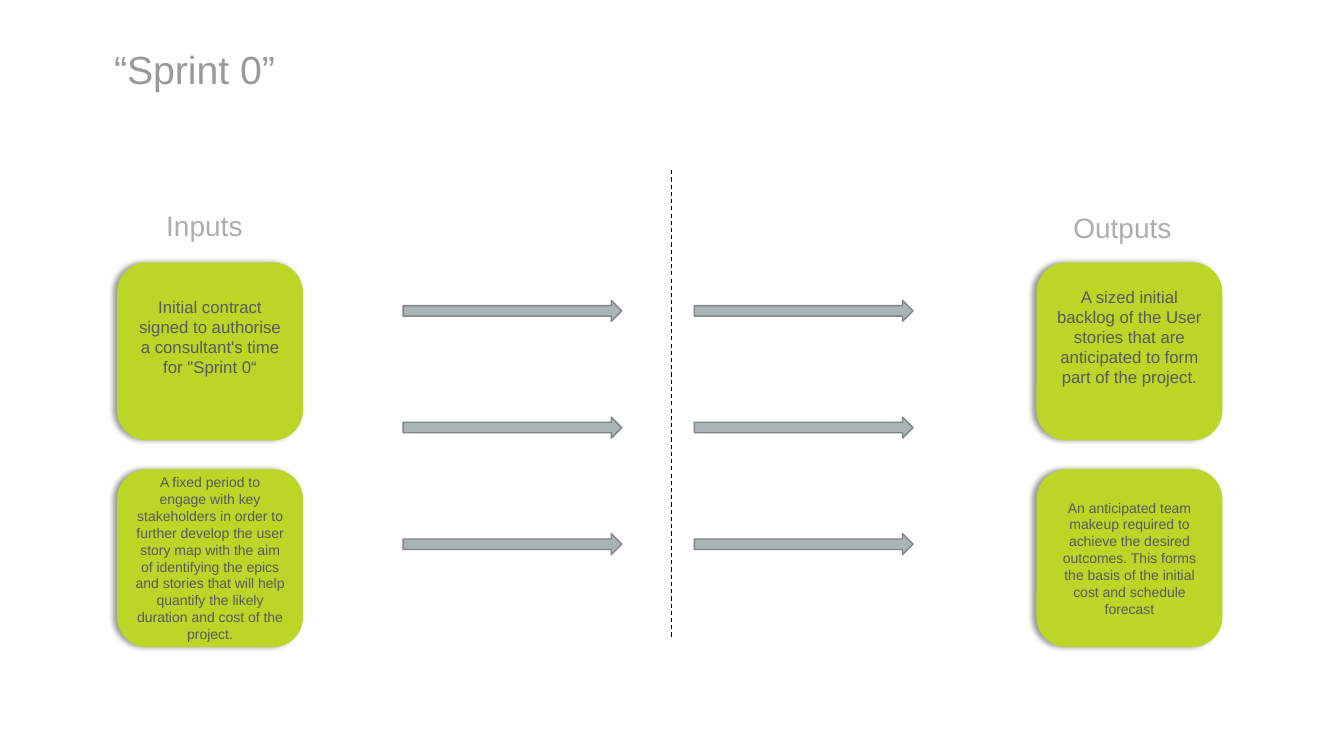
"""Build the "Sprint 0" slide of inputs and outputs."""
import dataclasses
import itertools

import lxml.etree
import pptx
import pptx.dml.color
import pptx.enum.dml
import pptx.enum.shapes
import pptx.enum.text
import pptx.oxml
import pptx.oxml.ns
import pptx.shapes.autoshape
import pptx.slide
import pptx.text.text
import pptx.util

Cm = pptx.util.Cm
Pt = pptx.util.Pt


@dataclasses.dataclass(frozen=True)
class Theme:
    """Colours, font and type sizes."""

    font: str = "Arial"
    title_colour: str = "999999"
    heading_colour: str = "ADADAD"
    card_text: str = "595959"
    card_fill: str = "BBD627"
    arrow_fill: str = "AAB4B4"
    arrow_line: str = "7E8585"
    divider: str = "000000"
    title_size: float = 28
    heading_size: float = 20
    card_size: float = 12
    small_size: float = 10


@dataclasses.dataclass(frozen=True)
class Heading:
    """A column heading, in centimetres."""

    text: str
    left: float
    top: float
    width: float


@dataclasses.dataclass(frozen=True)
class Card:
    """A rounded card, with the room kept free under its text."""

    text: str
    column: int
    row: int
    size: float
    bottom_inset: float = 0.13


THEME = Theme()
CARD_LEFTS = (2.97, 26.14)
CARD_TOPS = (6.63, 11.84)
ARROW_LEFTS = (10.16, 17.5)
ARROW_TOP, ARROW_STEP, ARROW_ROWS = 7.57, 2.94, 3
HEADINGS = (
    Heading("Inputs", 3.94, 5.18, 2.51),
    Heading("Outputs", 26.8, 5.23, 3.15),
)
CARDS = (
    Card("Initial contract signed to authorise a consultant's time for \"Sprint 0“",
         0, 0, THEME.card_size, 0.86),
    Card("A fixed period to engage with key stakeholders in order to further develop "
         "the user story map with the aim of identifying the epics and stories that "
         "will help quantify the likely duration and cost of the project.",
         0, 1, THEME.small_size),
    Card("A sized initial backlog of the User stories that are anticipated to form "
         "part of the project.", 1, 0, THEME.card_size, 0.86),
    Card("An anticipated team makeup required to achieve the desired outcomes. This "
         "forms the basis of the initial cost and schedule forecast",
         1, 1, THEME.small_size),
)


def rgb(colour: str) -> pptx.dml.color.RGBColor:
    """Turn a hexadecimal string into a colour."""
    return pptx.dml.color.RGBColor.from_string(colour)


def write_text(frame: pptx.text.text.TextFrame, text: str, size: float, colour: str,
               alignment: pptx.enum.text.PP_ALIGN) -> pptx.text.text._Paragraph:
    """Fill a frame with one formatted, vertically centred paragraph."""
    frame.text = text
    frame.word_wrap = True
    frame.auto_size = pptx.enum.text.MSO_AUTO_SIZE.NONE
    frame.vertical_anchor = pptx.enum.text.MSO_ANCHOR.MIDDLE
    paragraph = frame.paragraphs[0]
    paragraph.alignment = alignment
    paragraph.font.name = THEME.font
    paragraph.font.size = Pt(size)
    paragraph.font.color.rgb = rgb(colour)
    return paragraph


def write_heading(frame: pptx.text.text.TextFrame, text: str, size: float,
                  colour: str) -> None:
    """Write a left-aligned title or heading."""
    paragraph = write_text(frame, text, size, colour, pptx.enum.text.PP_ALIGN.LEFT)
    paragraph.line_spacing = 0.9
    paragraph.space_before = Pt(10)


def add_title(slide: pptx.slide.Slide) -> None:
    """Place and format the title."""
    title = slide.shapes.title
    title.left, title.top = Cm(2.62), Cm(1.02)
    title.width, title.height = Cm(23.95), Cm(1.6)
    write_heading(title.text_frame, "“Sprint 0”", THEME.title_size, THEME.title_colour)


def add_heading(slide: pptx.slide.Slide, heading: Heading) -> None:
    """Draw a column heading."""
    box = slide.shapes.add_textbox(
        Cm(heading.left), Cm(heading.top), Cm(heading.width), Cm(1.09))
    write_heading(box.text_frame, heading.text, THEME.heading_size, THEME.heading_colour)


def add_filled_shape(slide: pptx.slide.Slide, kind: pptx.enum.shapes.MSO_SHAPE,
                     left: float, top: float, width: float, height: float,
                     fill: str, line: str) -> pptx.shapes.autoshape.Shape:
    """Draw a filled and outlined shape without a shadow."""
    shape = slide.shapes.add_shape(kind, Cm(left), Cm(top), Cm(width), Cm(height))
    shape.shadow.inherit = False
    shape.fill.solid()
    shape.fill.fore_color.rgb = rgb(fill)
    shape.line.color.rgb = rgb(line)
    shape.line.width = Pt(1)
    return shape


def add_card(slide: pptx.slide.Slide, card: Card) -> None:
    """Draw a card with a soft shadow to its left."""
    shape = add_filled_shape(
        slide, pptx.enum.shapes.MSO_SHAPE.ROUNDED_RECTANGLE, CARD_LEFTS[card.column],
        CARD_TOPS[card.row], 4.65, 4.45, THEME.card_fill, THEME.card_fill)
    effects = shape._element.spPr.find(pptx.oxml.ns.qn("a:effectLst"))
    effects.append(pptx.oxml.parse_xml(
        f'<a:outerShdw {pptx.oxml.ns.nsdecls("a")} blurRad="{Pt(4)}" dist="{Pt(3)}" '
        'dir="10800000" algn="r" rotWithShape="0"><a:srgbClr val="000000">'
        '<a:alpha val="40000"/></a:srgbClr></a:outerShdw>'))
    frame = shape.text_frame
    write_text(frame, card.text, card.size, THEME.card_text,
               pptx.enum.text.PP_ALIGN.CENTER)
    frame.margin_left = frame.margin_right = Cm(0.23)
    frame.margin_bottom = Cm(card.bottom_inset)


def add_divider(slide: pptx.slide.Slide) -> None:
    """Draw the dashed line between inputs and outputs."""
    divider = slide.shapes.add_connector(
        pptx.enum.shapes.MSO_CONNECTOR.STRAIGHT,
        Cm(16.93), Cm(4.29), Cm(16.93), Cm(16.08))
    divider.line.color.rgb = rgb(THEME.divider)
    divider.line.width = Pt(0.75)
    divider.line.dash_style = pptx.enum.dml.MSO_LINE.DASH
    lxml.etree.SubElement(divider._element.spPr, pptx.oxml.ns.qn("a:effectLst"))


def main() -> None:
    """Build and save the presentation."""
    presentation = pptx.Presentation()
    presentation.slide_width, presentation.slide_height = Cm(33.87), Cm(19.05)
    slide = presentation.slides.add_slide(presentation.slide_layouts[5])
    add_title(slide)
    for heading in HEADINGS:
        add_heading(slide, heading)
    add_divider(slide)
    for left, row in itertools.product(ARROW_LEFTS, range(ARROW_ROWS)):
        add_filled_shape(
            slide, pptx.enum.shapes.MSO_SHAPE.RIGHT_ARROW, left,
            ARROW_TOP + row * ARROW_STEP, 5.51, 0.53, THEME.arrow_fill, THEME.arrow_line)
    for card in CARDS:
        add_card(slide, card)
    presentation.save("out.pptx")


if __name__ == "__main__":
    main()
